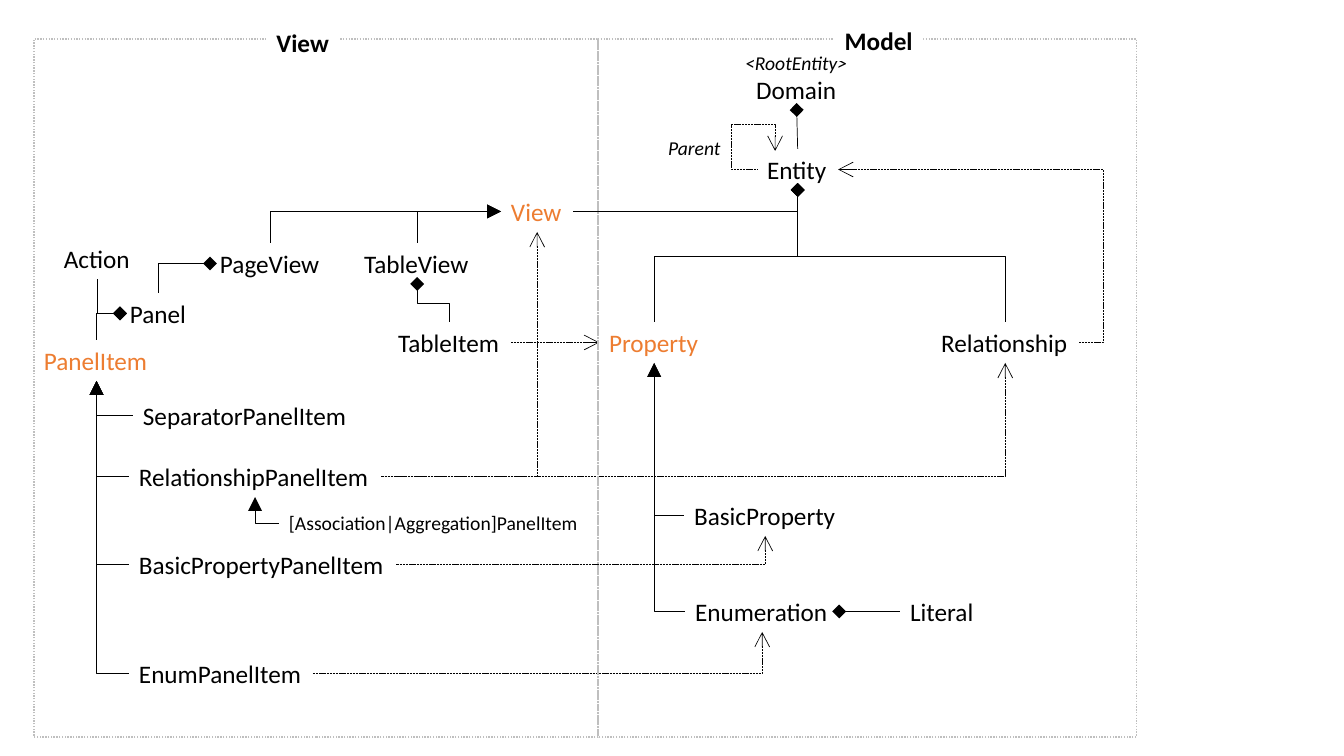
from lxml import etree
from pptx import Presentation
from pptx.dml.color import RGBColor
from pptx.enum.dml import MSO_LINE
from pptx.enum.shapes import MSO_CONNECTOR, MSO_SHAPE
from pptx.enum.text import MSO_ANCHOR, MSO_AUTO_SIZE, PP_ALIGN
from pptx.oxml.ns import qn
from pptx.util import Inches, Pt

RECTANGLE = MSO_SHAPE.RECTANGLE
STRAIGHT, ELBOW = MSO_CONNECTOR.STRAIGHT, MSO_CONNECTOR.ELBOW
DASH, DOT = MSO_LINE.SQUARE_DOT, MSO_LINE.ROUND_DOT
FIT, MIDDLE, CENTER = MSO_AUTO_SIZE.SHAPE_TO_FIT_TEXT, MSO_ANCHOR.MIDDLE, PP_ALIGN.CENTER
EMU_PER_PX = 914400 / 100.8
FONT = "Calibri"
COLORS = {"text": "000000", "accent": "ED7D31", "frame": "BFBFBF", "paper": "FFFFFF"}
SIDES = ("top", "left", "bottom", "right")
HEIGHTS = {18: 41, 14: 34}

CLASSES = [
    ("Domain", 746, 69, 101), ("Entity", 757, 149, 81),
    ("Relationship", 931, 322, 148), ("Property", 599, 322, 110),
    ("BasicProperty", 684, 495, 162), ("Enumeration", 685, 591, 154),
    ("Literal", 900, 591, 85), ("View", 501, 191, 72),
    ("PageView", 210, 243, 121), ("TableView", 354, 243, 126),
    ("TableItem", 388, 322, 123), ("Action", 54, 238, 87),
    ("Panel", 120, 293, 77), ("PanelItem", 34, 340, 125),
    ("SeparatorPanelItem", 133, 395, 226), ("RelationshipPanelItem", 129, 456, 252),
    ("BasicPropertyPanelItem", 129, 544, 267), ("EnumPanelItem", 129, 653, 184),
]
ACCENTED = {"View", "Property", "PanelItem"}
COMPOSITIONS = [
    ("Domain", "bottom", "Entity", "top"),
    ("Entity", "bottom", "Relationship", "top"),
    ("Entity", "bottom", "Property", "top"),
    ("Entity", "bottom", "View", "right"),
    ("Enumeration", "right", "Literal", "left"),
    ("PageView", "left", "Panel", "top"),
    ("Panel", "left", "PanelItem", "top"),
    ("Panel", "left", "Action", "bottom"),
    ("TableView", "bottom", "TableItem", "top"),
]
SUBCLASSES = [
    ("Property", "bottom", "BasicProperty", "left"),
    ("Property", "bottom", "Enumeration", "left"),
    ("PanelItem", "bottom", "SeparatorPanelItem", "left"),
    ("PanelItem", "bottom", "RelationshipPanelItem", "left"),
    ("PanelItem", "bottom", "BasicPropertyPanelItem", "left"),
    ("PanelItem", "bottom", "EnumPanelItem", "left"),
    ("View", "left", "PageView", "top"),
    ("View", "left", "TableView", "top"),
    ("RelationshipPanelItem", "bottom", "[Association|Aggregation]PanelItem", "left"),
]
REFERENCES = [
    ("BasicProperty", "bottom", "BasicPropertyPanelItem", "right"),
    ("Enumeration", "bottom", "EnumPanelItem", "right"),
    ("Relationship", "bottom", "RelationshipPanelItem", "right"),
    ("View", "bottom", "RelationshipPanelItem", "right"),
    ("Property", "left", "TableItem", "right"),
]


def px(length):
    """Turn pixels into EMU."""
    return round(length * EMU_PER_PX)


def color(name):
    """Look up a named colour."""
    return RGBColor.from_string(COLORS[name])


def write(shape, text, size=18, ink="text", bold=False, italic=False):
    """Put one unwrapped line of text into a shape."""
    frame = shape.text_frame
    frame.text = text
    frame.word_wrap = False
    frame.auto_size = FIT
    font = frame.paragraphs[0].runs[0].font
    font.name, font.size, font.bold, font.italic = FONT, Pt(size), bold, italic
    font.color.rgb = color(ink)


def add_label(slide, text, left, top, width, size=18, ink="text", italic=False):
    """Add a class name or a remark."""
    label = slide.shapes.add_textbox(px(left), px(top), px(width), px(HEIGHTS[size]))
    write(label, text, size, ink, italic=italic)
    return label


def add_frame(slide, left, width):
    """Add the dotted outline of one half of the diagram."""
    frame = slide.shapes.add_shape(RECTANGLE, px(left), px(39), px(width), px(698))
    frame.shadow.inherit = False
    frame.fill.background()
    frame.line.color.rgb = color("frame")
    frame.line.width = Pt(1)
    frame.line.dash_style = DOT


def add_heading(slide, text, left, top, width):
    """Add a bold heading that interrupts the outline."""
    heading = slide.shapes.add_shape(RECTANGLE, px(left), px(top), px(width), px(41))
    heading.shadow.inherit = False
    heading.fill.solid()
    heading.fill.fore_color.rgb = color("paper")
    heading.line.fill.background()
    write(heading, text, bold=True)
    heading.text_frame.vertical_anchor = MIDDLE
    heading.text_frame.paragraphs[0].alignment = CENTER


def anchor(label, side):
    """Return the midpoint of one side of a label."""
    across = {"left": 0, "right": label.width}.get(side, label.width // 2)
    down = {"top": 0, "bottom": label.height}.get(side, label.height // 2)
    return label.left + across, label.top + down


def style_line(connector, head, dashed):
    """Give a connector its thin line and its head at the start."""
    connector.line.color.rgb = color("text")
    connector.line.width = Pt(0.5)
    if dashed:
        connector.line.dash_style = DASH
    props = connector._element.spPr
    etree.SubElement(props.find(qn("a:ln")), qn("a:headEnd"), type=head, w="lg", len="lg")
    etree.SubElement(props, qn("a:effectLst"))


def set_bend(connector, preset, adjustments):
    """Choose the elbow preset and where it bends."""
    geometry = connector._element.spPr.find(qn("a:prstGeom"))
    geometry.set("prst", preset)
    guides = geometry.find(qn("a:avLst"))
    for number, share in enumerate(adjustments, 1):
        etree.SubElement(guides, qn("a:gd"), name=f"adj{number}",
                         fmla=f"val {round(share * 100000)}")


def turn_down(connector, start, end, loop):
    """Rotate an elbow so that it leaves its start vertically."""
    across, down = abs(end[0] - start[0]), abs(end[1] - start[1])
    connector.left = (start[0] + end[0] - down) // 2
    connector.top = (start[1] + end[1] - across) // 2
    connector.width, connector.height = down, across
    mirrored = loop or end[0] > start[0]
    xfrm = connector._element.spPr.find(qn("a:xfrm"))
    xfrm.set("rot", str((270 if mirrored else 90) * 60000))
    xfrm.set("flipH", str(int(mirrored)))
    xfrm.set("flipV", str(int(loop)))


def connect(slide, labels, link, head, dashed=False, bends=(), start=None):
    """Link two labels, or a free start point and a label."""
    source, source_side, target, target_side = link
    loop = start is not None
    start = start or anchor(labels[source], source_side)
    end = anchor(labels[target], target_side)
    level = min(abs(end[0] - start[0]), abs(end[1] - start[1])) <= px(2)
    connector = slide.shapes.add_connector(STRAIGHT if level else ELBOW, *start, *end)
    if not loop:
        connector.begin_connect(labels[source], SIDES.index(source_side))
    connector.end_connect(labels[target], SIDES.index(target_side))
    if not level:
        parallel = SIDES.index(source_side) % 2 == SIDES.index(target_side) % 2
        preset = "bentConnector4" if loop else f"bentConnector{3 if parallel else 2}"
        set_bend(connector, preset, bends)
        if source_side in ("top", "bottom"):
            turn_down(connector, start, end, loop)
    style_line(connector, head, dashed)


def main():
    """Build the class diagram."""
    deck = Presentation()
    deck.slide_width, deck.slide_height = Inches(13.33), Inches(7.5)
    slide = deck.slides.add_slide(deck.slide_layouts[6])
    labels = {}
    for name, left, top, width in CLASSES:
        ink = "accent" if name in ACCENTED else "text"
        labels[name] = add_label(slide, name, left, top, width, ink=ink)
    variants = "[Association|Aggregation]PanelItem"
    labels[variants] = add_label(slide, variants, 279, 506, 312, size=14)
    add_label(slide, "Parent", 658, 131, 74, size=14, italic=True)
    add_label(slide, "<RootEntity>", 735, 46, 124, size=14, italic=True)

    for links, head, dashed in ((COMPOSITIONS, "diamond", False),
                                (SUBCLASSES, "triangle", False),
                                (REFERENCES, "arrow", True)):
        for link in links:
            connect(slide, labels, link, head, dashed)
    connect(slide, labels, ("Entity", "right", "Relationship", "right"),
            "arrow", True, bends=(1.1,))
    connect(slide, labels, ("Entity", "top", "Entity", "left"),
            "arrow", True, bends=(-1.42, 2.42), start=(px(775), px(151)))

    add_frame(slide, 34, 564)
    add_frame(slide, 598, 538)
    add_heading(slide, "View", 266, 22, 73)
    add_heading(slide, "Model", 834, 20, 89)
    deck.save("out.pptx")


main()
